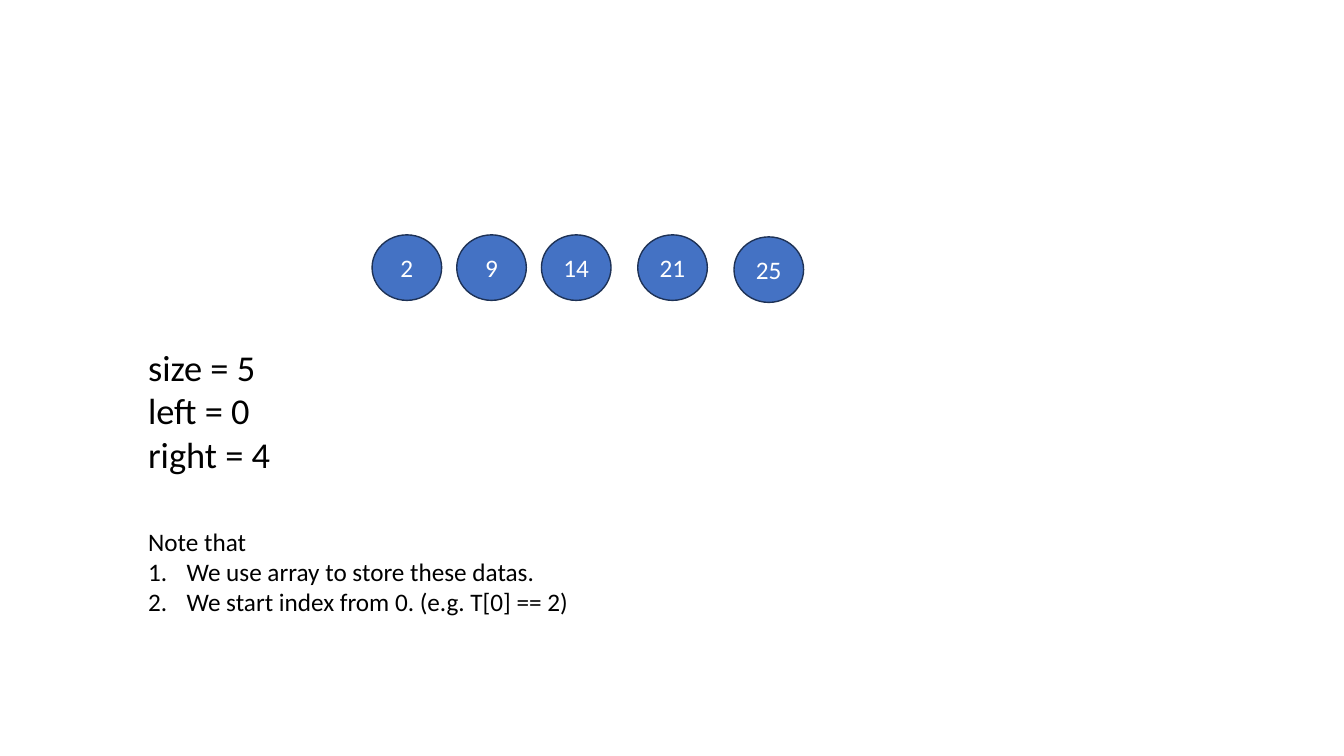
from typing import NamedTuple

from lxml import etree
from pptx import Presentation
from pptx.dml.color import RGBColor
from pptx.enum.shapes import MSO_SHAPE
from pptx.enum.text import MSO_ANCHOR, MSO_AUTO_SIZE, PP_ALIGN
from pptx.oxml.ns import qn
from pptx.util import Inches, Pt

OVAL = MSO_SHAPE.OVAL
MIDDLE = MSO_ANCHOR.MIDDLE
TOP = MSO_ANCHOR.TOP
FIT_SHAPE = MSO_AUTO_SIZE.SHAPE_TO_FIT_TEXT
CENTER = PP_ALIGN.CENTER
LEFT = PP_ALIGN.LEFT

BLUE = RGBColor(0x44, 0x72, 0xC4)
NAVY = RGBColor(0x1E, 0x32, 0x56)
WHITE = RGBColor(0xFF, 0xFF, 0xFF)
BLACK = RGBColor(0x00, 0x00, 0x00)

FONT = "Calibri"
WIDTH, HEIGHT = Inches(13.33), Inches(7.5)
NODE_WIDTH, NODE_HEIGHT = Inches(0.69), Inches(0.65)
FIRST_NODE = Inches(3.69)
ROW = Inches(2.33)
NARROW_STEP, WIDE_STEP = Inches(0.84), Inches(0.955)
MARGIN = Inches(1.37)
INDENT = Inches(0.38)


class Node(NamedTuple):
    value: str
    step: int
    drop: int = 0


NODES = [
    Node("2", 0),
    Node("9", NARROW_STEP),
    Node("14", NARROW_STEP),
    Node("21", WIDE_STEP),
    Node("25", WIDE_STEP, Inches(0.02)),
]
STATE = ["size = 5", "left = 0", "right = 4"]
NOTES = [
    "Note that",
    "We use array to store these datas.",
    "We start index from 0. (e.g. T[0] == 2)",
]


def style(para, size: float, color: RGBColor, alignment=LEFT) -> None:
    para.alignment = alignment
    para.space_before = Pt(0)
    para.font.name = FONT
    para.font.size = Pt(size)
    para.font.color.rgb = color


def write(box, lines: list[str], size: float, wrap: bool) -> None:
    frame = box.text_frame
    frame.text = "\n".join(lines)
    frame.word_wrap = wrap
    frame.auto_size = FIT_SHAPE
    frame.vertical_anchor = TOP
    for para in frame.paragraphs:
        style(para, size, BLACK)


def set_bullet(para, numbered: bool) -> None:
    properties = para._p.get_or_add_pPr()
    indent = INDENT if numbered else 0
    properties.set("marL", str(indent))
    properties.set("indent", str(-indent))
    if numbered:
        etree.SubElement(properties, qn("a:buFont"), typeface="+mj-lt")
        etree.SubElement(properties, qn("a:buAutoNum"), type="arabicPeriod")
    else:
        etree.SubElement(properties, qn("a:buNone"))


def draw_node(page, node: Node, left: int) -> None:
    circle = page.shapes.add_shape(OVAL, left, ROW + node.drop, NODE_WIDTH, NODE_HEIGHT)
    circle.shadow.inherit = False
    circle.fill.solid()
    circle.fill.fore_color.rgb = BLUE
    circle.line.color.rgb = NAVY
    circle.line.width = Pt(1)
    frame = circle.text_frame
    frame.text = node.value
    frame.margin_left = frame.margin_right = 0
    frame.vertical_anchor = MIDDLE
    style(frame.paragraphs[0], 18, WHITE, CENTER)


deck = Presentation()
deck.slide_width, deck.slide_height = WIDTH, HEIGHT
page = deck.slides.add_slide(deck.slide_layouts[1])
title = page.shapes.title.element
title.getparent().remove(title)

left = FIRST_NODE
for node in NODES:
    left += node.step
    draw_node(page, node, left)

state = page.shapes.add_textbox(MARGIN, Inches(3.37), Inches(2.47), Inches(1.41))
write(state, STATE, 26, True)

notes = page.placeholders[1]
notes.left, notes.top = MARGIN, Inches(5.17)
notes.width, notes.height = Inches(4.47), Inches(1.01)
write(notes, NOTES, 18, False)
for index, para in enumerate(notes.text_frame.paragraphs):
    set_bullet(para, index > 0)

deck.save("out.pptx")
